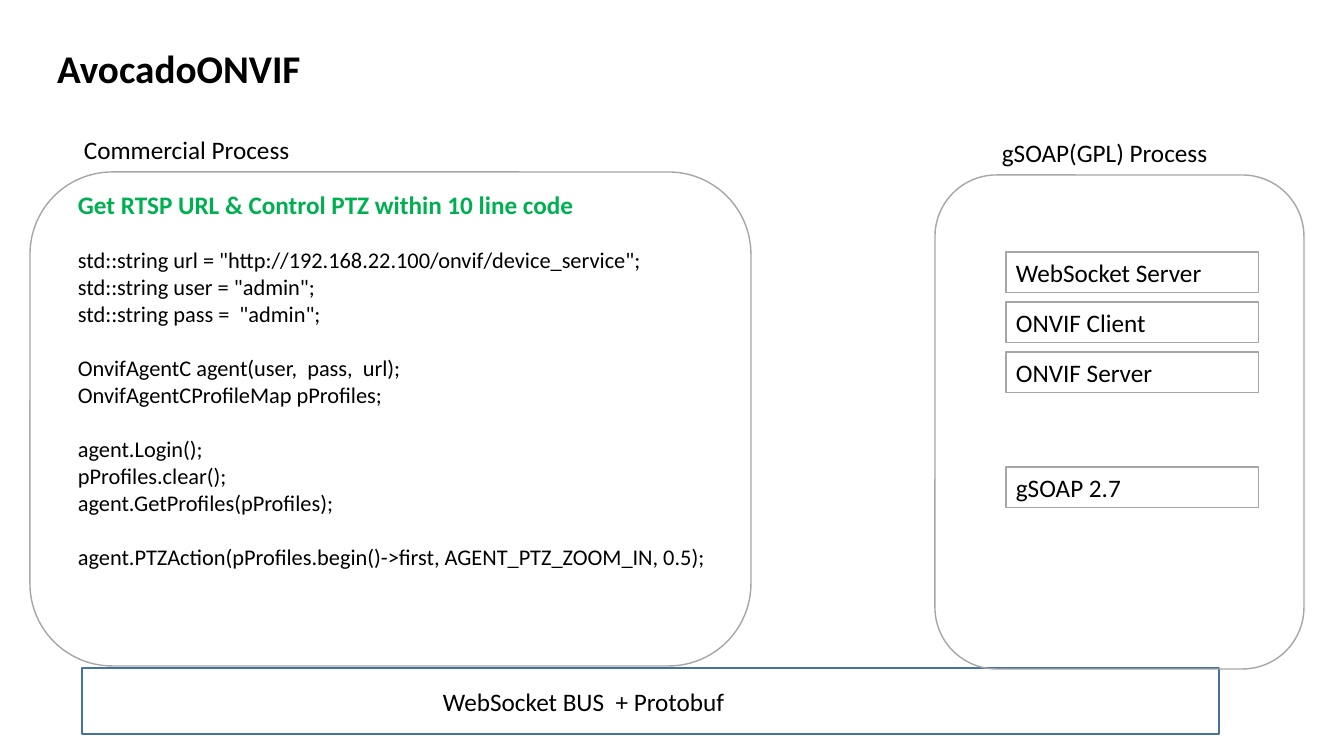
from pptx import Presentation
from pptx.dml.color import RGBColor
from pptx.enum.shapes import MSO_SHAPE
from pptx.enum.text import MSO_ANCHOR, PP_ALIGN
from pptx.util import Pt

PIXEL = 914400 / 100.8
BLACK = RGBColor(0x00, 0x00, 0x00)
GREEN = RGBColor(0x00, 0xB0, 0x50)
GRAY = RGBColor(0xA6, 0xA6, 0xA6)
BLUE = RGBColor(0x43, 0x73, 0x9E)


def emu(*pixels):
    return [round(value * PIXEL) for value in pixels]


class SlideBuilder:
    font = "Calibri"
    text_size = 18

    def __init__(self, slide):
        self.slide = slide

    def set_text(self, shape, text, size=text_size, color=BLACK, bold=False):
        frame = shape.text_frame
        frame.word_wrap = True
        frame.vertical_anchor = MSO_ANCHOR.TOP
        frame.margin_left = frame.margin_right = Pt(7.2)
        frame.margin_top = frame.margin_bottom = Pt(3.6)
        self.style(frame.paragraphs[0], text, size, color, bold)

    def style(self, paragraph, text, size, color=BLACK, bold=False):
        paragraph.alignment = PP_ALIGN.LEFT
        paragraph.line_spacing = 1.0
        paragraph.space_before = Pt(0)
        run = paragraph.add_run()
        run.text = text
        run.font.name = self.font
        run.font.size = Pt(size)
        run.font.bold = bold
        run.font.color.rgb = color

    def title(self, box, text):
        shape = self.slide.shapes.title
        shape.left, shape.top, shape.width, shape.height = emu(*box)
        self.set_text(shape, text, 28, bold=True)

    def label(self, box, text, **look):
        shape = self.slide.shapes.add_textbox(*emu(*box))
        self.set_text(shape, text, **look)
        return shape

    def outline(self, kind, box, color, width, text=None):
        shape = self.slide.shapes.add_shape(kind, *emu(*box))
        shape.shadow.inherit = False
        shape.fill.background()
        shape.line.color.rgb = color
        shape.line.width = Pt(width)
        if text:
            self.set_text(shape, text)

    def code(self, box, heading, blocks, size=16):
        frame = self.label(box, heading, color=GREEN, bold=True).text_frame
        for block in blocks:
            for index, line in enumerate(block):
                paragraph = frame.add_paragraph()
                self.style(paragraph, line, size)
                if index == 0:
                    paragraph.space_before = Pt(19.5)


prs = Presentation()
prs.slide_width, prs.slide_height = emu(1344, 756)
builder = SlideBuilder(prs.slides.add_slide(prs.slide_layouts[5]))

builder.title((47, 39, 280, 58), "AvocadoONVIF")
builder.outline(MSO_SHAPE.ROUNDED_RECTANGLE, (30, 172, 721, 494), GRAY, 1)
builder.outline(MSO_SHAPE.RECTANGLE, (82, 668, 1137, 66), BLUE, 1)
builder.outline(MSO_SHAPE.ROUNDED_RECTANGLE, (935, 175, 369, 494), GRAY, 1)

for left, top, width, text in [
    (433, 681, 433, "WebSocket BUS  + Protobuf"),
    (992, 132, 280, "gSOAP(GPL) Process"),
    (74, 129, 280, "Commercial Process"),
]:
    builder.label((left, top, width, 41), text)

builder.code(
    (68, 184, 670, 390),
    "Get RTSP URL & Control PTZ within 10 line code",
    [
        [
            'std::string url = "http://192.168.22.100/onvif/device_service";',
            'std::string user = "admin";',
            'std::string pass =  "admin";',
        ],
        ["OnvifAgentC agent(user,  pass,  url);", "OnvifAgentCProfileMap pProfiles;"],
        ["agent.Login();", "pProfiles.clear();", "agent.GetProfiles(pProfiles);"],
        ["agent.PTZAction(pProfiles.begin()->first, AGENT_PTZ_ZOOM_IN, 0.5);"],
    ],
)

for top, component in [
    (252, "WebSocket Server"),
    (302, "ONVIF Client"),
    (352, "ONVIF Server"),
    (467, "gSOAP 2.7"),
]:
    builder.outline(MSO_SHAPE.RECTANGLE, (1006, top, 253, 41), GRAY, 0.75, component)

prs.save("out.pptx")
